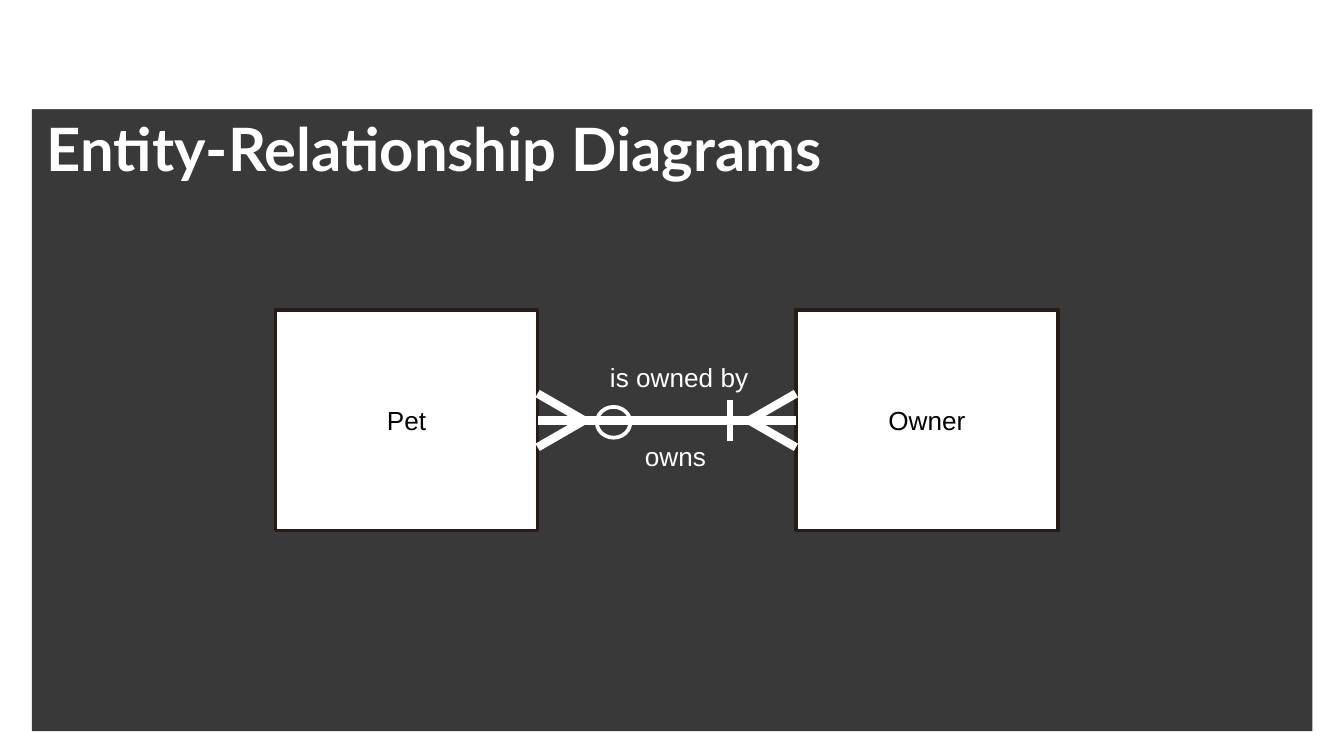
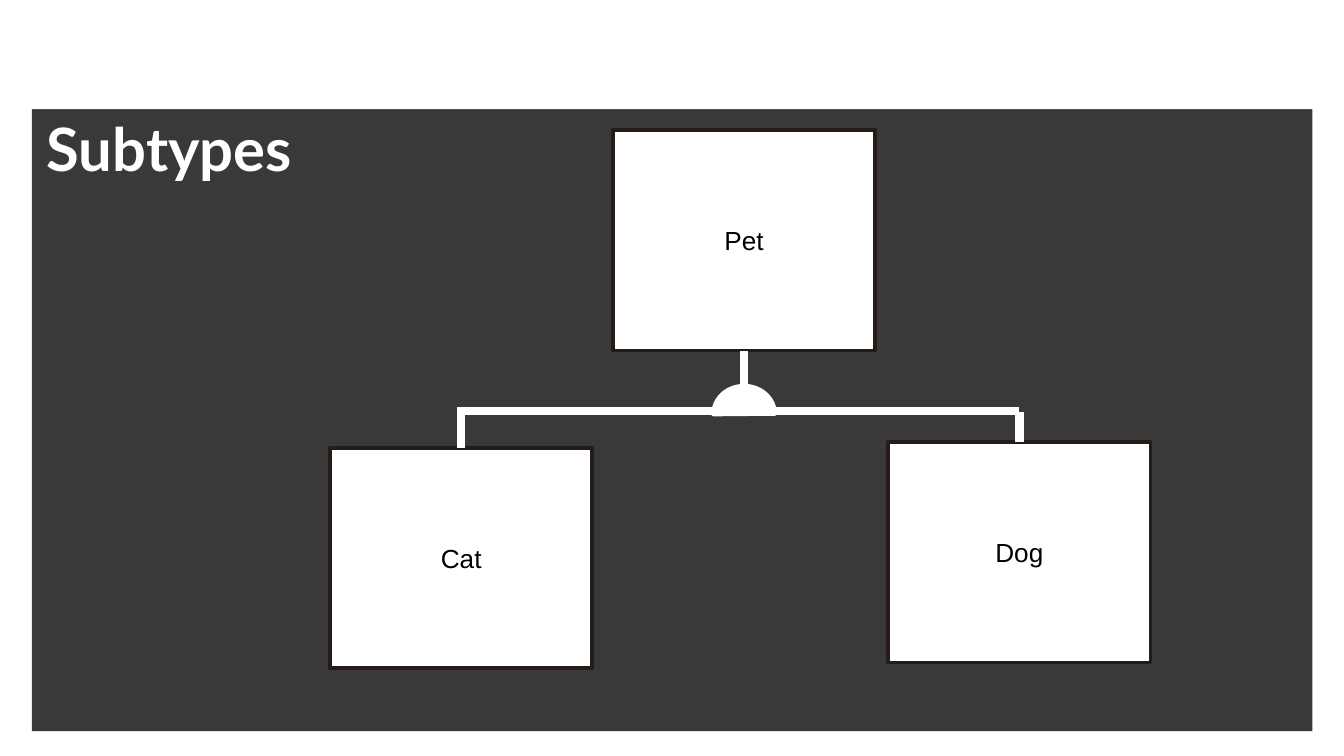
from dataclasses import dataclass
from lxml import etree
from pptx import Presentation
from pptx import util as u
from pptx.dml.color import RGBColor
from pptx.enum import shapes, text
from pptx.oxml.ns import qn

Pt = u.Pt
TOP, LEFT, BOTTOM, RIGHT = range(4)


@dataclass(frozen=True)
class Theme:
    """Colours, fonts, type sizes and line widths shared by the slides."""
    panel: str = "393939"
    light: str = "FFFFFF"
    border: str = "271B17"
    ink: str = "000000"
    title_font: str = "Lato"
    body_font: str = "Arial"
    title_size: float = 32
    body_size: float = 14
    thin: float = 2
    medium: float = 3.5
    thick: float = 4.5


THEME = Theme()
ENTITY_WIDTH, ENTITY_HEIGHT = 140.4, 118.1


def set_values(target, values):
    """Set each attribute of the target from a dict."""
    for name, value in values.items():
        setattr(target, name, value)


def write_text(shape, words, colour, font=THEME.body_font, size=THEME.body_size,
               bold=False, align=text.PP_ALIGN.LEFT, anchor=text.MSO_ANCHOR.TOP):
    """Write one formatted paragraph into a shape."""
    set_values(shape.text_frame, {"word_wrap": True, "vertical_anchor": anchor})
    paragraph = shape.text_frame.paragraphs[0]
    paragraph.alignment = align
    run = paragraph.add_run()
    run.text = words
    set_values(run.font, {"name": font, "size": Pt(size), "bold": bold})
    run.font.color.rgb = RGBColor.from_string(colour)


def add_shape(slide, kind, left, top, width, height, fill=None, line=None):
    """Add a preset shape with an optional fill and thin outline."""
    shape = slide.shapes.add_shape(kind, Pt(left), Pt(top), Pt(width), Pt(height))
    shape.shadow.inherit = False
    if fill:
        shape.fill.solid()
        shape.fill.fore_color.rgb = RGBColor.from_string(fill)
    else:
        shape.fill.background()
    if line:
        shape.line.color.rgb = RGBColor.from_string(line)
        shape.line.width = Pt(THEME.thin)
    else:
        shape.line.fill.background()
    return shape


def add_label(slide, words, left, top, width, height, **style):
    """Add a light text box."""
    box = slide.shapes.add_textbox(Pt(left), Pt(top), Pt(width), Pt(height))
    write_text(box, words, THEME.light, **style)


def add_entity(slide, name, left, top):
    """Add a named entity rectangle."""
    entity = add_shape(slide, shapes.MSO_SHAPE.RECTANGLE, left, top,
                       ENTITY_WIDTH, ENTITY_HEIGHT, THEME.light, THEME.border)
    write_text(entity, name, THEME.ink, align=text.PP_ALIGN.CENTER,
               anchor=text.MSO_ANCHOR.MIDDLE)
    return entity


def add_line(slide, start, end, width=THEME.thick, begin_at=None, end_at=None):
    """Add a straight light line, joined to entity sides where given."""
    points = [Pt(value) for value in (*start, *end)]
    line = slide.shapes.add_connector(shapes.MSO_CONNECTOR.STRAIGHT, *points)
    line.line.color.rgb = RGBColor.from_string(THEME.light)
    line.line.width = Pt(width)
    etree.SubElement(line._element.spPr, qn("a:effectLst"))
    if begin_at:
        line.begin_connect(*begin_at)
    if end_at:
        line.end_connect(*end_at)


def add_crow_foot(slide, apex, edge, middle, spread=14.4):
    """Add the two outer toes that mark a many end."""
    for offset in (spread, -spread):
        add_line(slide, (apex, middle), (edge, middle + offset))


def add_titled_slide(presentation, title):
    """Add a blank slide with the dark panel, top band and title."""
    slide = presentation.slides.add_slide(presentation.slide_layouts[6])
    rectangle = shapes.MSO_SHAPE.RECTANGLE
    add_shape(slide, rectangle, 17.1, 13.7, 686, 378, THEME.panel)
    add_shape(slide, rectangle, 12.2, 0, 696, 58.5, THEME.light)
    add_label(slide, title, 18, 58.5, 684, 41, font=THEME.title_font,
              size=THEME.title_size, bold=True, anchor=text.MSO_ANCHOR.MIDDLE)
    return slide


def build_relationship_slide(presentation):
    """Build the many-to-many diagram of pets and owners."""
    slide = add_titled_slide(presentation, "Entity-Relationship Diagrams")
    pet_left, owner_left, top = 147.6, 426.4, 166.2
    pet_edge, middle = pet_left + ENTITY_WIDTH, top + ENTITY_HEIGHT / 2
    pet = add_entity(slide, "Pet", pet_left, top)
    owner = add_entity(slide, "Owner", owner_left, top)
    add_line(slide, (pet_edge, middle), (owner_left, middle),
             begin_at=(pet, RIGHT), end_at=(owner, LEFT))
    add_crow_foot(slide, owner_left - 25, owner_left, middle)
    add_crow_foot(slide, pet_edge + 25, pet_edge, middle)
    add_line(slide, (391, middle - 11), (391, middle + 11), THEME.medium)
    add_shape(slide, shapes.MSO_SHAPE.OVAL, 319.7, 218, 18, 16.5, line=THEME.light)
    add_label(slide, "is owned by", 319.7, 190.1, 93, 24.5)
    add_label(slide, "owns", 338.4, 232.6, 56, 24.5)


def build_subtypes_slide(presentation):
    """Build the hierarchy of pet subtypes."""
    slide = add_titled_slide(presentation, "Subtypes")
    half = ENTITY_WIDTH / 2
    pet_left, pet_top, bar = 328.4, 69.8, 220.3
    centre = pet_left + half
    pet = add_entity(slide, "Pet", pet_left, pet_top)
    add_line(slide, (centre, bar), (centre, pet_top + ENTITY_HEIGHT),
             end_at=(pet, BOTTOM))
    subtypes = [("Cat", 176.9, 239.9, 218.1), ("Dog", 475.9, 236.9, 221)]
    for name, left, top, drop_top in subtypes:
        entity = add_entity(slide, name, left, top)
        add_line(slide, (left + half, top), (left + half, drop_top),
                 begin_at=(entity, TOP))
    ends = [left + half for _, left, _, _ in subtypes]
    add_line(slide, (ends[1], bar), (ends[0], bar))
    dome = add_shape(slide, shapes.MSO_SHAPE.CHORD, centre - 15.1, 205.2, 30.2, 33.1,
                     THEME.light, THEME.light)
    dome.rotation = 90
    dome.adjustments[0], dome.adjustments[1] = 53.34, 162


def main():
    """Build and save the presentation."""
    presentation = Presentation()
    set_values(presentation, {"slide_width": Pt(720), "slide_height": Pt(405)})
    build_relationship_slide(presentation)
    build_subtypes_slide(presentation)
    presentation.save("out.pptx")


if __name__ == "__main__":
    main()
